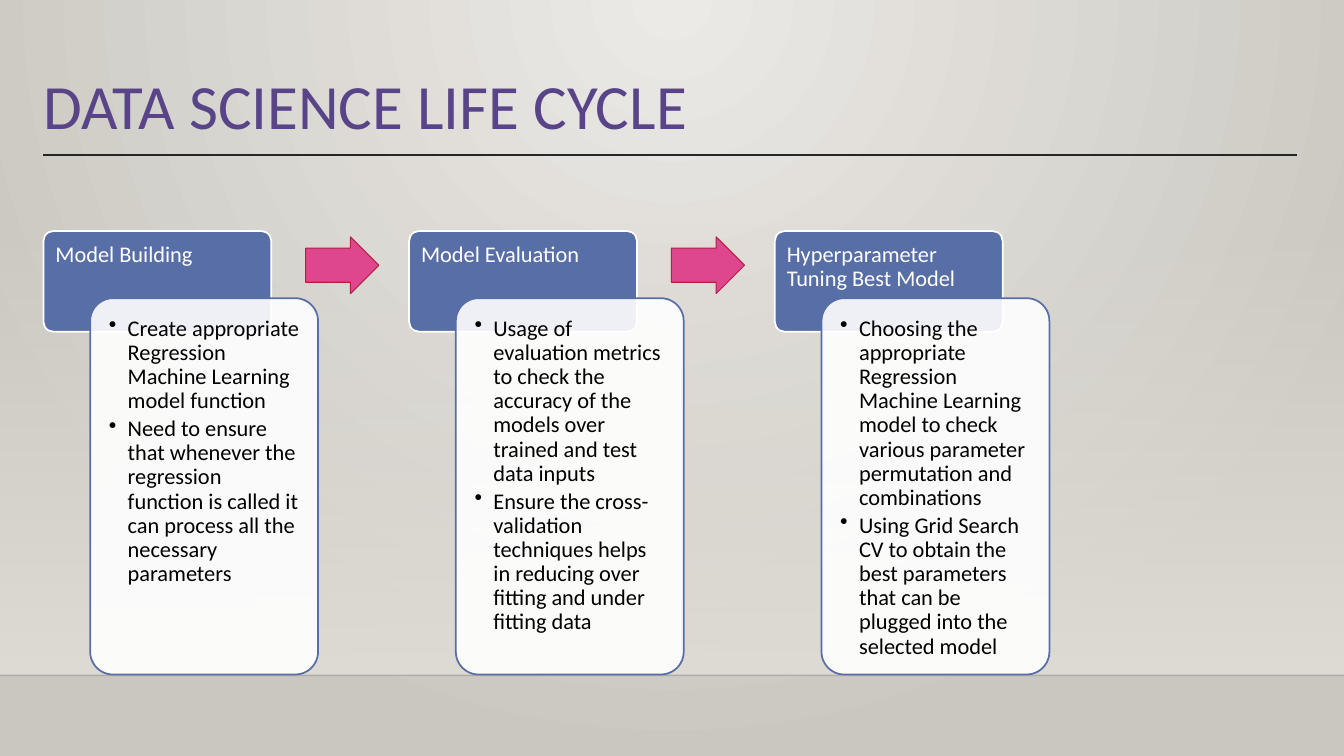
import pptx
import pptx.util
import pptx.dml.color
import pptx.enum.shapes
import pptx.enum.text
import pptx.oxml
import pptx.oxml.ns
from dataclasses import dataclass

Pt = pptx.util.Pt
qn = pptx.oxml.ns.qn
SHAPES = pptx.enum.shapes.MSO_SHAPE
ANCHOR = pptx.enum.text.MSO_ANCHOR


@dataclass(frozen=True)
class Theme:
    font: str = "Calibri"
    title_size: float = 45
    body_size: float = 16
    title: str = "594487"
    rule: str = "262626"
    edge: str = "000001"
    card: str = "586EA6"
    white: str = "FFFFFF"
    black: str = "000000"
    arrow: str = "DE478E"
    arrow_line: str = "B71E42"
    glow: str = "ECEAE7"
    backdrop: str = "CAC7C1"
    wall: str = "DFDBD5"


THEME = Theme()
WIDTH, HEIGHT = 960, 540
CARD_PITCH = 261.2

STAGES = [
    ("Model Building", [
        "Create appropriate Regression Machine Learning model function",
        "Need to ensure that whenever the regression function is called it can "
        "process all the necessary parameters",
    ]),
    ("Model Evaluation", [
        "Usage of evaluation metrics to check the accuracy of the models over "
        "trained and test data inputs",
        "Ensure the cross-validation techniques helps in reducing over fitting "
        "and under fitting data",
    ]),
    ("Hyperparameter Tuning Best Model", [
        "Choosing the appropriate Regression Machine Learning model to check "
        "various parameter permutation and combinations",
        "Using Grid Search CV to obtain the best parameters that can be plugged "
        "into the selected model",
    ]),
]


def rgb(color):
    return pptx.dml.color.RGBColor.from_string(color)


def set_alpha(element, percent):
    color = next(element.iter(qn("a:srgbClr")))
    pptx.oxml.ns  # noqa
    alpha = color.makeelement(qn("a:alpha"), {"val": str(percent * 1000)})
    color.append(alpha)


def set_gradient(fill, element, start, end):
    fill.gradient()
    for stop, color, position in zip(fill.gradient_stops, (start, end), (0, 1)):
        stop.color.rgb = rgb(color)
        stop.position = position
    return next(element.iter(qn("a:gradFill")))


def add_text(shape, paragraphs, size=THEME.body_size, color=THEME.black,
             anchor=ANCHOR.TOP, insets=(0, 0, 0, 0), bullet=None, space_after=0):
    frame = shape.text_frame
    frame.word_wrap = True
    frame.vertical_anchor = anchor
    frame.margin_left, frame.margin_top, frame.margin_right, frame.margin_bottom = map(Pt, insets)
    for index, text in enumerate(paragraphs):
        paragraph = frame.add_paragraph() if index else frame.paragraphs[0]
        paragraph.alignment = pptx.enum.text.PP_ALIGN.LEFT
        paragraph.line_spacing = 0.9
        paragraph.space_after = Pt(space_after)
        run = paragraph.add_run()
        run.text = text
        run.font.name = THEME.font
        run.font.size = Pt(size)
        run.font.color.rgb = rgb(color)
        if bullet:
            properties = paragraph._p.get_or_add_pPr()
            properties.set("marL", str(Pt(13.5)))
            properties.set("indent", str(-Pt(13.5)))
            mark = properties.makeelement(qn("a:buChar"), {"char": bullet})
            properties.append(mark)


def add_shape(slide, kind, box, line=None, line_width=1.25, fill=None, adjustments=()):
    shape = slide.shapes.add_shape(kind, *map(Pt, box))
    shape.shadow.inherit = False
    if fill:
        shape.fill.solid()
        shape.fill.fore_color.rgb = rgb(fill)
    if line:
        shape.line.color.rgb = rgb(line)
        shape.line.width = Pt(line_width)
    else:
        shape.line.fill.background()
    for index, value in enumerate(adjustments):
        shape.adjustments[index] = value
    return shape


def add_rule(slide, left, right, y, color):
    rule = slide.shapes.add_connector(
        pptx.enum.shapes.MSO_CONNECTOR.STRAIGHT, Pt(left), Pt(y), Pt(right), Pt(y))
    rule.line.color.rgb = rgb(color)
    rule.line.width = Pt(1)
    properties = rule._element.spPr
    properties.append(properties.makeelement(qn("a:effectLst"), {}))
    return rule


def add_backdrop(slide, width, floor_top):
    gradient = set_gradient(slide.background.fill, slide._element, THEME.glow, THEME.backdrop)
    gradient.remove(gradient.find(qn("a:lin")))
    circle = pptx.oxml.parse_xml(
        '<a:path xmlns:a="http://schemas.openxmlformats.org/drawingml/2006/main" path="circle">'
        '<a:fillToRect l="43000" t="0" r="43000" b="100000"/></a:path>')
    gradient.append(circle)

    wall_top = 159.1
    wall = add_shape(slide, SHAPES.RECTANGLE, (0, wall_top, width, floor_top - wall_top))
    gradient = set_gradient(wall.fill, wall._element, THEME.wall, THEME.wall)
    gradient.find(qn("a:lin")).set("ang", "5400000")
    set_alpha(gradient, 0)

    edge = add_rule(slide, 0, width, floor_top, THEME.edge)
    set_alpha(edge._element.spPr, 20)


def add_title(slide, left, top, width, height):
    box = slide.shapes.add_textbox(*map(Pt, (left, top, width, height)))
    add_text(box, ["DATA SCIENCE LIFE CYCLE"], size=THEME.title_size, color=THEME.title,
             anchor=ANCHOR.BOTTOM, insets=(0, 3.6, 0, 3.6))
    add_rule(slide, left, left + width, top + height + 5, THEME.rule)


def add_stage(slide, left, top, heading, points):
    card_width = 162.8
    header = add_shape(slide, SHAPES.ROUNDED_RECTANGLE, (left, top, card_width, 72),
                       line=THEME.white, fill=THEME.card, adjustments=[0.1])
    add_text(header, [heading], color=THEME.white, insets=(6.5, 6.5, 6.5, 3))

    body = add_shape(slide, SHAPES.ROUNDED_RECTANGLE, (left + 33.4, top + 48, card_width, 268.8),
                     line=THEME.card, fill=THEME.white, adjustments=[0.1])
    set_alpha(body._element.spPr, 90)
    add_text(body, points, insets=(8.6,) * 4, bullet="•", space_after=2.6)


def add_arrow(slide, left, top):
    add_shape(slide, SHAPES.RIGHT_ARROW, (left, top, 52.3, 40.5), line=THEME.arrow_line,
              line_width=0.75, fill=THEME.arrow, adjustments=[0.6, 0.5])


def add_life_cycle(slide, left, top):
    for index, (heading, points) in enumerate(STAGES):
        stage_left = left + index * CARD_PITCH
        add_stage(slide, stage_left, top, heading, points)
        if index < len(STAGES) - 1:
            add_arrow(slide, stage_left + 187.3, top + 4.2)


def main():
    presentation = pptx.Presentation()
    presentation.slide_width, presentation.slide_height = Pt(WIDTH), Pt(HEIGHT)
    slide = presentation.slides.add_slide(presentation.slide_layouts[6])
    margin = 31
    add_backdrop(slide, WIDTH, 482.4)
    add_title(slide, margin, 26.6, WIDTH - 2 * margin - 2.5, 79.2)
    add_life_cycle(slide, margin, 165)
    presentation.save("out.pptx")


if __name__ == "__main__":
    main()
